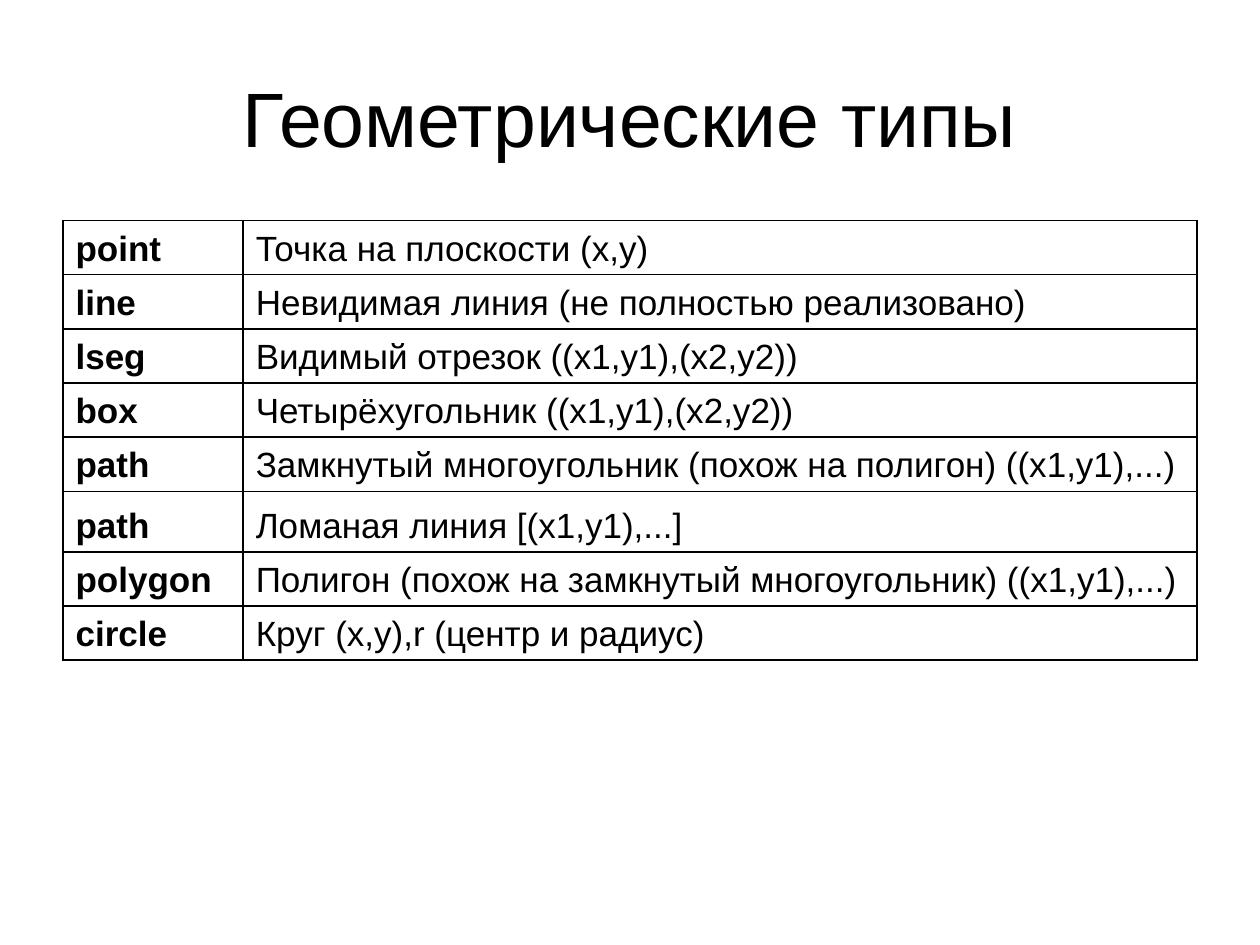
from lxml.etree import SubElement
from pptx import Presentation
from pptx.dml.color import RGBColor
from pptx.enum.text import MSO_ANCHOR, PP_ALIGN
from pptx.oxml.ns import qn
from pptx.util import Inches, Pt

BLACK = RGBColor(0, 0, 0)
WHITE = RGBColor(255, 255, 255)

TYPES = [
    ("point", "Точка на плоскости (x,y)"),
    ("line", "Невидимая линия (не полностью реализовано)"),
    ("lseg", "Видимый отрезок ((x1,y1),(x2,y2))"),
    ("box", "Четырёхугольник ((x1,y1),(x2,y2))"),
    ("path", "Замкнутый многоугольник (похож на полигон) ((x1,y1),...)"),
    ("path", "Ломаная линия [(x1,y1),...]"),
    ("polygon", "Полигон (похож на замкнутый многоугольник) ((x1,y1),...)"),
    ("circle", "Круг (x,y),r (центр и радиус)"),
]
COLS = [1.43, 7.57]
ROWS = [0.43] * 5 + [0.48] + [0.43] * 2


class Page:
    """Holds the slide and its text style."""

    face = "Arial"
    color = BLACK
    indent = Inches(0.38)

    def __init__(self, deck):
        """Add a title-only slide with a white background."""
        self.slide = deck.slides.add_slide(deck.slide_layouts[5])
        fill = self.slide.background.fill
        fill.solid()
        fill.fore_color.rgb = WHITE

    def style(self, para, size, bold=False):
        """Set the font of a paragraph."""
        font = para.font
        font.name, font.size, font.bold = self.face, Pt(size), bold
        font.color.rgb = self.color

    def title(self, text, left, top, width, height):
        """Fill and place the title."""
        shape = self.slide.shapes.title
        shape.left, shape.top = Inches(left), Inches(top)
        shape.width, shape.height = Inches(width), Inches(height)
        frame = shape.text_frame
        frame.text = text
        frame.vertical_anchor = MSO_ANCHOR.MIDDLE
        para = frame.paragraphs[0]
        para.alignment = PP_ALIGN.CENTER
        self.style(para, 44)

    def border(self, cell, width=1):
        """Draw a solid line on all four sides of a cell."""
        props = cell._tc.get_or_add_tcPr()
        for spot, side in enumerate(("a:lnL", "a:lnR", "a:lnT", "a:lnB")):
            line = SubElement(props, qn(side), w=str(Pt(width)))
            fill = SubElement(line, qn("a:solidFill"))
            SubElement(fill, qn("a:srgbClr"), val=str(self.color))
            props.insert(spot, line)

    def cell(self, cell, text, bold):
        """Fill one table cell."""
        cell.text = text
        cell.vertical_anchor = MSO_ANCHOR.BOTTOM
        cell.fill.background()
        para = cell.text_frame.paragraphs[0]
        self.style(para, 20, bold)
        props = para._p.get_or_add_pPr()
        props.set("marL", str(self.indent))
        props.set("indent", str(-self.indent))
        self.border(cell)

    def table(self, data, left, top, cols, rows):
        """Add a bordered table with a bold first column."""
        frame = self.slide.shapes.add_table(
            len(rows), len(cols), Inches(left), Inches(top),
            Inches(sum(cols)), Inches(sum(rows)))
        table = frame.table
        table.first_row = table.horz_banding = False
        for col, width in zip(table.columns, cols):
            col.width = Inches(width)
        for row, height, texts in zip(table.rows, rows, data):
            row.height = Inches(height)
            for num, text in enumerate(texts):
                self.cell(row.cells[num], text, bold=num == 0)


def main():
    """Build the slide and save it."""
    deck = Presentation()
    deck.slide_width, deck.slide_height = Inches(10), Inches(7.5)
    page = Page(deck)
    page.title("Геометрические типы", 0.5, 0.3, 9, 1.25)
    page.table(TYPES, 0.5, 1.75, COLS, ROWS)
    deck.save("out.pptx")


main()
